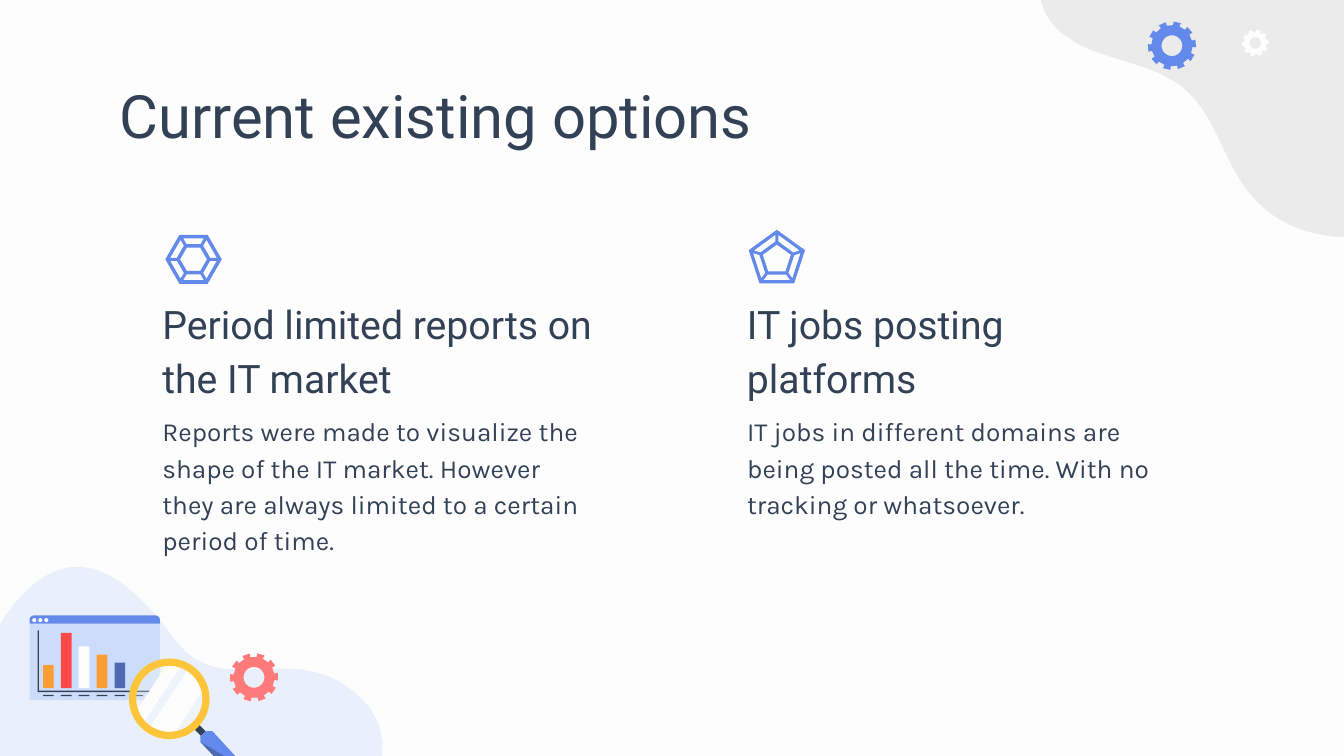
from dataclasses import dataclass
from math import cos, pi, radians, sin

from lxml.etree import SubElement
from pptx import Presentation
from pptx.dml.color import RGBColor
from pptx.enum.shapes import MSO_SHAPE
from pptx.enum.text import MSO_ANCHOR
from pptx.oxml.ns import qn
from pptx.util import Inches, Pt

INK, BLUE, PALE, WHITE = "334157", "6389EB", "CBDDFA", "FDFDFD"
DARK_BLUE, ORANGE, RED, YELLOW = "4C69B2", "FF9D35", "FF4949", "FFC53A"
Point = tuple[float, float]


@dataclass
class Blob:
    start: Point
    curves: list[tuple[float, ...]]  # two control points and an end point each
    color: str
    opacity: int = 100


@dataclass
class Gear:
    center: Point
    radius: float
    turn: float
    color: str


@dataclass
class Gem:
    center: Point
    sides: int
    turn: float
    radii: tuple[float, float, float, float]  # rim, outer facet, inner facet, hole


@dataclass
class Label:
    text: str
    box: tuple[float, float, float, float]
    size: float
    font: str = "Roboto"
    spacing: float = 1.15
    anchor: MSO_ANCHOR = MSO_ANCHOR.TOP


BLOBS = [
    Blob((2.72, 5.23), [
        (2.74, 5.25, 2.75, 5.27, 2.77, 5.29), (2.77, 5.3, 2.77, 5.31, 2.78, 5.31),
        (3.1, 5.85, 2.21, 6.6, 1.71, 7.14), (1.42, 7.45, 1.47, 7.43, 1.03, 8),
        (0.69, 8.45, 0.37, 8.42, 0.21, 8.25), (0.16, 8.19, 0.13, 8.14, 0.12, 8.08),
        (0.03, 7.79, 0.04, 7.66, -0.72, 7.19), (-1.48, 6.73, -1.1, 6.35, -0.58, 6.06),
        (-0.06, 5.76, -0.35, 5.05, 0.1, 4.5), (0.55, 3.95, 0.96, 4.29, 1.31, 4.77),
        (1.66, 5.24, 2.24, 4.7, 2.72, 5.23)], PALE, 39),
    Blob((11.13, -0.56), [
        (11.35, -0.14, 11.37, 0.38, 11.21, 0.83), (11.07, 1.21, 10.79, 1.55, 10.41, 1.7),
        (10.03, 1.84, 9.55, 1.76, 9.3, 1.44), (9.1, 1.2, 9.05, 0.86, 8.81, 0.66),
        (8.67, 0.54, 8.48, 0.49, 8.29, 0.43), (8.11, 0.38, 7.92, 0.3, 7.81, 0.15),
        (7.67, -0.06, 7.71, -0.36, 7.86, -0.57), (8.01, -0.78, 8.24, -0.91, 8.48, -1.01),
        (9.14, -1.29, 10.03, -1.53, 10.67, -1.08),
        (10.86, -0.95, 11.02, -0.77, 11.13, -0.56)], "EBEBEB"),
]
GEARS = [
    Gear((1.89, 5.04), 0.18, 34.5, "FF7A78"),
    Gear((8.72, 0.34), 0.18, 30.5, BLUE),
    Gear((9.34, 0.32), 0.1, 30.5, WHITE),
]
GEMS = [
    Gem((1.44, 1.93), 6, 0, (0.21, 0.18, 0.13, 0.1)),
    Gem((5.78, 1.93), 5, -90, (0.22, 0.19, 0.14, 0.11)),
]
BARS = [(0.17, ORANGE), (0.41, RED), (0.31, WHITE), (0.25, ORANGE), (0.19, DARK_BLUE)]
COLUMNS = [
    (1.11, "Period limited reports on the IT market",
     "Reports were made to visualize the shape of the IT market. "
     "However they are always limited to a certain period of time."),
    (5.46, "IT jobs posting platforms",
     "IT jobs in different domains are being posted all the time. "
     "With no tracking or whatsoever."),
]


def rgb(color: str) -> RGBColor:
    return RGBColor.from_string(color)


def paint(shape, color: str, opacity: int = 100) -> None:
    shape.shadow.inherit = False
    shape.fill.solid()
    shape.fill.fore_color.rgb = rgb(color)
    shape.line.fill.background()
    if opacity < 100:
        fill_color = shape.fill._xPr.find(qn("a:solidFill"))[0]
        SubElement(fill_color, qn("a:alpha"), val=str(opacity * 1000))


def preset(page, kind: MSO_SHAPE, box: tuple[float, ...], color: str, opacity: int = 100):
    shape = page.shapes.add_shape(kind, *map(Inches, box))
    paint(shape, color, opacity)
    return shape


def outline(page, contours: list[list[Point]], color: str, opacity: int = 100) -> None:
    """Fill closed contours; those inside the first one are holes."""
    rings = [[(Inches(x), Inches(y)) for x, y in contour] for contour in contours]
    builder = page.shapes.build_freeform(*rings[0][0])
    builder.add_line_segments(rings[0][1:], close=True)
    for ring in rings[1:]:
        builder.move_to(*ring[0])
        builder.add_line_segments(ring[1:], close=True)
    paint(builder.convert_to_shape(), color, opacity)


def polar(center: Point, radius: float, degrees: float) -> Point:
    angle = radians(degrees)
    return center[0] + radius * cos(angle), center[1] + radius * sin(angle)


def polygon(center: Point, radius: float, sides: int, turn: float = 0) -> list[Point]:
    return [polar(center, radius, turn + 360 * i / sides) for i in range(sides)]


def draw_blob(page, blob: Blob, steps: int = 16) -> None:
    points = [blob.start]
    for ax, ay, bx, by, x, y in blob.curves:
        corners = [points[-1], (ax, ay), (bx, by), (x, y)]
        for i in range(1, steps + 1):
            t = i / steps
            weights = [(1 - t) ** 3, 3 * t * (1 - t) ** 2, 3 * t * t * (1 - t), t ** 3]
            points.append(tuple(sum(w * c[axis] for w, c in zip(weights, corners))
                                for axis in (0, 1)))
    outline(page, [points], blob.color, blob.opacity)


def draw_gear(page, gear: Gear, teeth: int = 10) -> None:
    root = gear.radius * 0.85
    profile = [(root, -9), (gear.radius, -9), (gear.radius, 9), (root, 9)]
    rim = [polar(gear.center, radius, gear.turn + 360 * tooth / teeth + offset)
           for tooth in range(teeth) for radius, offset in profile]
    outline(page, [rim, polygon(gear.center, gear.radius * 0.43, 40)], gear.color)


def draw_gem(page, gem: Gem, gap: float = 0.013) -> None:
    rim, outer, inner, hole = [polygon(gem.center, radius, gem.sides, gem.turn)
                               for radius in gem.radii]

    def edge(ring: list[Point], radius: float, side: int) -> list[Point]:
        (ax, ay), (bx, by) = ring[side], ring[(side + 1) % gem.sides]
        cut = gap / (2 * radius * sin(pi / gem.sides))
        return [(ax + (bx - ax) * t, ay + (by - ay) * t) for t in (cut, 1 - cut)]

    facets = [edge(outer, gem.radii[1], side) + edge(inner, gem.radii[2], side)[::-1]
              for side in range(gem.sides)]
    outline(page, [rim, hole, *facets], BLUE)


def draw_report(page) -> None:
    # Browser window
    preset(page, MSO_SHAPE.RECTANGLE, (0.22, 4.64, 0.97, 0.57), PALE)
    bar = preset(page, MSO_SHAPE.ROUND_2_SAME_RECTANGLE, (0.22, 4.58, 0.97, 0.06), BLUE)
    bar.adjustments[0] = 0.5
    for i in range(3):
        preset(page, MSO_SHAPE.OVAL, (0.24 + 0.045 * i, 4.6, 0.03, 0.03), WHITE)
    # Axis, bars and ticks
    outline(page, [[(0.28, 4.69), (0.29, 4.69), (0.29, 5.14), (1.12, 5.14),
                    (1.12, 5.15), (0.28, 5.15)]], INK)
    pitch = 0.133
    for i, (height, color) in enumerate(BARS):
        preset(page, MSO_SHAPE.RECTANGLE, (0.32 + pitch * i, 5.12 - height, 0.08, height), color)
    for i in range(len(BARS) + 1):
        preset(page, MSO_SHAPE.RECTANGLE, (0.32 + pitch * i, 5.17, 0.08, 0.01), INK)
    # Magnifier: neck, handle, handle shade, lens, glares, ring
    outline(page, [[(1.52, 5.5), (1.56, 5.47), (1.47, 5.38), (1.43, 5.41)]], INK)
    outline(page, [[(1.49, 5.48), (1.53, 5.44), (1.58, 5.44), (1.8, 5.68), (1.81, 5.71),
                    (1.77, 5.77), (1.72, 5.76), (1.49, 5.52)]], BLUE)
    outline(page, [[(1.49, 5.52), (1.72, 5.76), (1.77, 5.77), (1.81, 5.71)]], DARK_BLUE)
    preset(page, MSO_SHAPE.OVAL, (0.99, 4.93, 0.53, 0.53), WHITE, 30)
    outline(page, [[(1.51, 5.13), (1.3, 5.46), (1.2, 5.46), (1.11, 5.42), (1.4, 4.98),
                    (1.47, 5.04)]], WHITE)
    outline(page, [[(1.35, 4.95), (1.07, 5.38), (1.01, 5.3), (1.25, 4.93)]], WHITE)
    ring = preset(page, MSO_SHAPE.DONUT, (0.96, 4.9, 0.6, 0.6), YELLOW)
    ring.adjustments[0] = 0.09


def draw_label(page, label: Label) -> None:
    frame = page.shapes.add_textbox(*map(Inches, label.box)).text_frame
    margins = {f"margin_{side}": Inches(0.1) for side in ("left", "top", "right", "bottom")}
    for name, value in {"word_wrap": True, "vertical_anchor": label.anchor, **margins}.items():
        setattr(frame, name, value)
    para = frame.paragraphs[0]
    para.line_spacing = label.spacing
    span = para.add_run()
    span.text = label.text
    for name, value in {"name": label.font, "size": Pt(label.size)}.items():
        setattr(span.font, name, value)
    span.font.color.rgb = rgb(INK)


def main() -> None:
    deck = Presentation()
    deck.slide_width = Inches(10)
    deck.slide_height = deck.slide_width * 9 // 16
    page = deck.slides.add_slide(deck.slide_layouts[6])
    page.background.fill.solid()
    page.background.fill.fore_color.rgb = rgb(WHITE)

    # Corner decoration
    for blob in BLOBS:
        draw_blob(page, blob)
    draw_report(page)
    for gear in GEARS:
        draw_gear(page, gear)

    # Title and the two options
    draw_label(page, Label("Current existing options", (0.79, 0.49, 8.43, 0.63), 32, spacing=1.0))
    for left, heading, body in COLUMNS:
        draw_label(page, Label(body, (left, 2.96, 3.42, 1.24), 14, "Karla"))
        draw_label(page, Label(heading, (left, 2.15, 3.44, 0.94), 21, anchor=MSO_ANCHOR.BOTTOM))
    for gem in GEMS:
        draw_gem(page, gem)
    deck.save("out.pptx")


if __name__ == "__main__":
    main()
